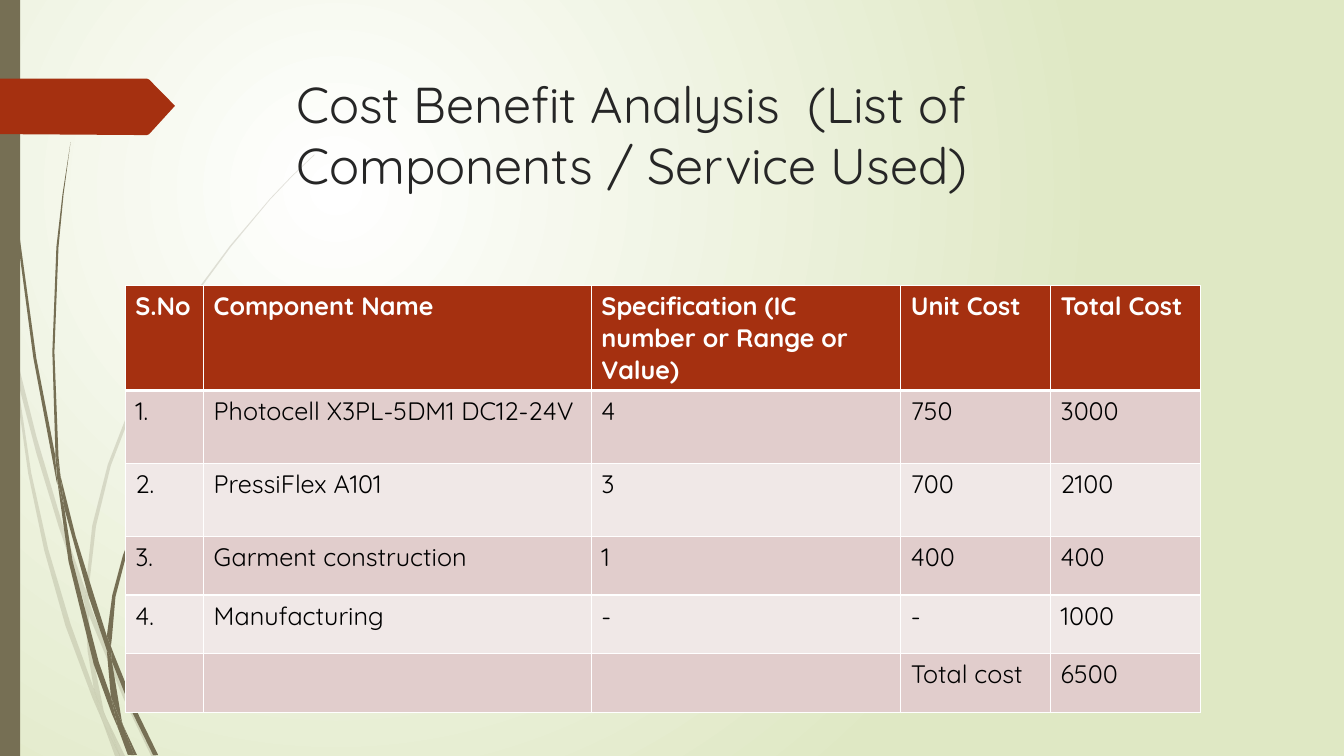
"""Build a cost benefit slide with a component table and a grass motif."""
from dataclasses import dataclass
from typing import Optional

from lxml.etree import SubElement
from pptx import Presentation
from pptx.dml.color import RGBColor
from pptx.enum.shapes import MSO_SHAPE
from pptx.enum.text import MSO_ANCHOR
from pptx.oxml.ns import qn
from pptx.util import Pt

COLORS = {
    "white": "FFFFFF", "black": "000000", "title": "262626", "glow": "DFE8C4",
    "grass": "766F54", "rust": "A53010", "band_dark": "E1CDCC", "band_light": "F0E8E7",
}
FONT = "Quicksand"
Points = list[tuple[float, float]]


@dataclass
class Outline:
    color: str
    points: Points
    opacity: Optional[int] = None


@dataclass
class TextStyle:
    size: int
    color: str
    bold: bool = False


PALE_BLADES: list[Points] = [
    [(7.9, 252), (6.5, 231.8), (0, 203), (0, 215.3), (7.2, 247.7)],
    [(41.8, 375.8), (60.5, 431.3), (61.2, 421.9), (44.6, 374.4), (26, 311.8),
     (10.1, 248.4), (12.2, 270.7), (25.9, 323.5)],
    [(66.2, 437), (63.4, 429.1), (63.4, 439.2), (88.6, 499.7), (108, 540),
     (111.6, 540), (91.4, 498.2)],
    [(85.7, 540), (89.3, 540), (75.6, 511.9)],
    [(67, 491.8), (50.4, 445.7), (34.5, 392.4), (22.3, 337.7), (12.2, 270.7), (7.9, 252),
     (20.2, 338.4), (31.6, 393.1), (46.8, 447.1), (66.2, 499), (72.7, 514.1), (71.3, 509)],
    [(60.5, 431.3), (62.6, 465.1), (67, 491.8), (69.1, 498.2), (75.6, 511.9),
     (74.2, 508.3), (65.5, 465.1), (63.4, 439.2), (63.4, 437.8)],
    [(63.4, 420.5), (68.6, 375.8), (79.2, 332.6), (95.3, 290.9), (115.2, 251.3),
     (138.2, 212.8), (164.9, 176.4), (193, 142.6), (208.8, 126), (224.6, 110.9),
     (224.6, 110.2), (208.1, 126), (193, 141.8), (164.2, 175.7), (137.3, 212),
     (113.8, 250.6), (93.2, 290.2), (77, 331.9), (65.9, 375.6), (61.2, 420.5),
     (61.2, 421.9), (63.4, 429.1)],
    [(72.7, 514.1), (82.1, 540), (85.7, 540)],
    [(63.4, 437.8), (63.4, 439.2), (63.4, 429.1), (61.2, 421.9), (60.5, 431.3)],
    [(69.1, 498.2), (67, 491.8), (71.3, 509), (72.7, 514.1), (85.7, 540), (75.6, 511.9)],
]
DARK_BLADES: list[Points] = [
    [(5, 79.2), (12.2, 167.8), (23.8, 255.6), (40.3, 343.4), (41, 346.3), (39.6, 329),
     (39.6, 326.2), (25.9, 255.6), (13.7, 167), (5.8, 78.5), (3.6, 34.6), (2.9, 0),
     (2.2, 0), (2.9, 34.6)],
    [(63.4, 426.2), (76.3, 464.4), (76.3, 454.3), (67, 424.8), (54, 383),
     (43.2, 339.8), (46.1, 363.6)],
    [(81.4, 467.3), (79.2, 461.5), (79.9, 472.3), (95, 509.8), (109.4, 539.3),
     (113, 539.3), (97.9, 508.3)],
    [(79.2, 497.5), (70.6, 473), (51.8, 400.3), (46.1, 363.6), (41, 343.4), (49, 401),
     (67, 474.5), (79.9, 509.8), (84.2, 519.8), (83.5, 516.2)],
    [(43.2, 339.8), (41.8, 326.2), (38.9, 251.3), (41.8, 176.4), (45.4, 139),
     (50.4, 101.5), (44.6, 139), (40.3, 176.4), (37.4, 251.3), (39.6, 323.3)],
    [(95.8, 539.3), (97.9, 539.3), (87.8, 517.7)],
    [(41, 343.4), (46.1, 363.6), (43.2, 339.8), (39.6, 323.3), (39.6, 326.2)],
    [(79.9, 455.8), (82.5, 426.2), (90, 397.4), (100.5, 369.4), (113.8, 342.7),
     (147.6, 292.3), (166.3, 269.3), (176.4, 258.5), (187.9, 247.7), (176.4, 257.8),
     (166.3, 268.6), (146.9, 291.6), (112.3, 341.3), (98.7, 368.4), (87.8, 396.7),
     (80.2, 425.2), (76.3, 454.3), (79.2, 461.5)],
    [(84.2, 519.8), (91.4, 539.3), (94.3, 539.3)],
    [(76.3, 464.4), (79.2, 497.5), (83.5, 508.3), (87.8, 517.7), (87.1, 515.5),
     (79.9, 472.3), (78.5, 468.7)],
    [(76.3, 464.4), (78.5, 468.7), (79.9, 472.3), (79.2, 461.5), (76.3, 454.3)],
    [(83.5, 508.3), (79.2, 497.5), (83.5, 516.2), (84.2, 519.8), (93.6, 539.3),
     (95.8, 539.3), (87.8, 517.7)],
]
ARROW: Points = [(125, 75.6), (106.6, 95.8), (105, 96.5), (0, 95.8), (0, 56.2),
                 (105, 56.2), (106.6, 56.9)]

COLUMN_WIDTHS = [56, 277, 221, 107, 107]
ROW_HEIGHTS = [75, 52, 52, 42, 42, 42]
COST_ROWS = [
    ["S.No", "Component Name", "Specification (IC number or Range or Value)",
     "Unit Cost", "Total Cost"],
    ["1.", "Photocell X3PL-5DM1 DC12-24V", "4", "750", "3000"],
    ["2.", "PressiFlex A101", "3", "700", "2100"],
    ["3.", "Garment construction", "1", "400", "400"],
    ["4.", "Manufacturing", "-", "-", "1000"],
    ["", "", "", "Total cost", "6500"],
]


def rgb(name: str) -> RGBColor:
    return RGBColor.from_string(COLORS[name])


def paint(shape, color: str, opacity: Optional[int] = None) -> None:
    shape.shadow.inherit = False
    shape.fill.solid()
    shape.fill.fore_color.rgb = rgb(color)
    shape.line.fill.background()
    if opacity is not None:
        tone = shape.fill._xPr.find(qn("a:solidFill"))[0]
        SubElement(tone, qn("a:alpha"), val=str(opacity * 1000))


def draw_outline(page, outline: Outline) -> None:
    corners = [(Pt(x), Pt(y)) for x, y in outline.points]
    builder = page.shapes.build_freeform(*corners[0])
    builder.add_line_segments(corners[1:], close=True)
    paint(builder.convert_to_shape(), outline.color, outline.opacity)


def add_span(para, text: str, style: TextStyle) -> None:
    span = para.add_run()
    span.text = text
    span.font.name = FONT
    span.font.size = Pt(style.size)
    span.font.bold = style.bold
    span.font.color.rgb = rgb(style.color)


def draw_background(page) -> None:
    fill = page.background.fill
    fill.gradient()
    for stop, color in zip(fill.gradient_stops, ("white", "glow")):
        stop.color.rgb = rgb(color)
    gradient = page.element.find(".//" + qn("a:gradFill"))
    for position, stop in zip(("0", "100000"), gradient.find(qn("a:gsLst"))):
        stop.set("pos", position)
    gradient.remove(gradient.find(qn("a:lin")))
    circle = SubElement(gradient, qn("a:path"), path="circle")
    SubElement(circle, qn("a:fillToRect"), l="50000", t="50000", r="100000", b="100000")


def draw_title(page) -> None:
    box = page.shapes.add_textbox(Pt(204.5), Pt(49), Pt(702), Pt(101))
    frame = box.text_frame
    frame.word_wrap = True
    frame.vertical_anchor = MSO_ANCHOR.TOP
    add_span(frame.paragraphs[0],
             "Cost Benefit Analysis  (List of Components / Service Used)",
             TextStyle(36, "title"))


def add_border(cell, side: str, width: int) -> None:
    border = SubElement(cell._tc.get_or_add_tcPr(), qn(f"a:ln{side}"), w=str(Pt(width)))
    SubElement(SubElement(border, qn("a:solidFill")), qn("a:srgbClr"), val=COLORS["white"])


def draw_cost_table(page) -> None:
    table = page.shapes.add_table(
        len(COST_ROWS), len(COLUMN_WIDTHS), Pt(89.5), Pt(204),
        Pt(sum(COLUMN_WIDTHS)), Pt(sum(ROW_HEIGHTS))).table
    for column, width in zip(table.columns, COLUMN_WIDTHS):
        column.width = Pt(width)
    for index, (row, height) in enumerate(zip(table.rows, ROW_HEIGHTS)):
        row.height = Pt(height)
        band = "rust" if index == 0 else "band_dark" if index % 2 else "band_light"
        style = TextStyle(18, "black" if index else "white", bold=index == 0)
        for cell, text in zip(row.cells, COST_ROWS[index]):
            for side in "LRTB":
                add_border(cell, side, 3 if (index, side) in ((0, "B"), (1, "T")) else 1)
            cell.fill.solid()
            cell.fill.fore_color.rgb = rgb(band)
            if text:
                add_span(cell.text_frame.paragraphs[0], text, style)


def main() -> None:
    deck = Presentation()
    deck.slide_width, deck.slide_height = Pt(960), Pt(540)
    page = deck.slides.add_slide(deck.slide_layouts[6])
    draw_background(page)
    for points in PALE_BLADES:
        draw_outline(page, Outline("grass", points, 20))
    for points in DARK_BLADES:
        draw_outline(page, Outline("grass", points))
    paint(page.shapes.add_shape(MSO_SHAPE.RECTANGLE, 0, 0, Pt(14.4), Pt(540)), "grass")
    draw_outline(page, Outline("rust", ARROW))
    draw_title(page)
    draw_cost_table(page)
    deck.save("out.pptx")


if __name__ == "__main__":
    main()
